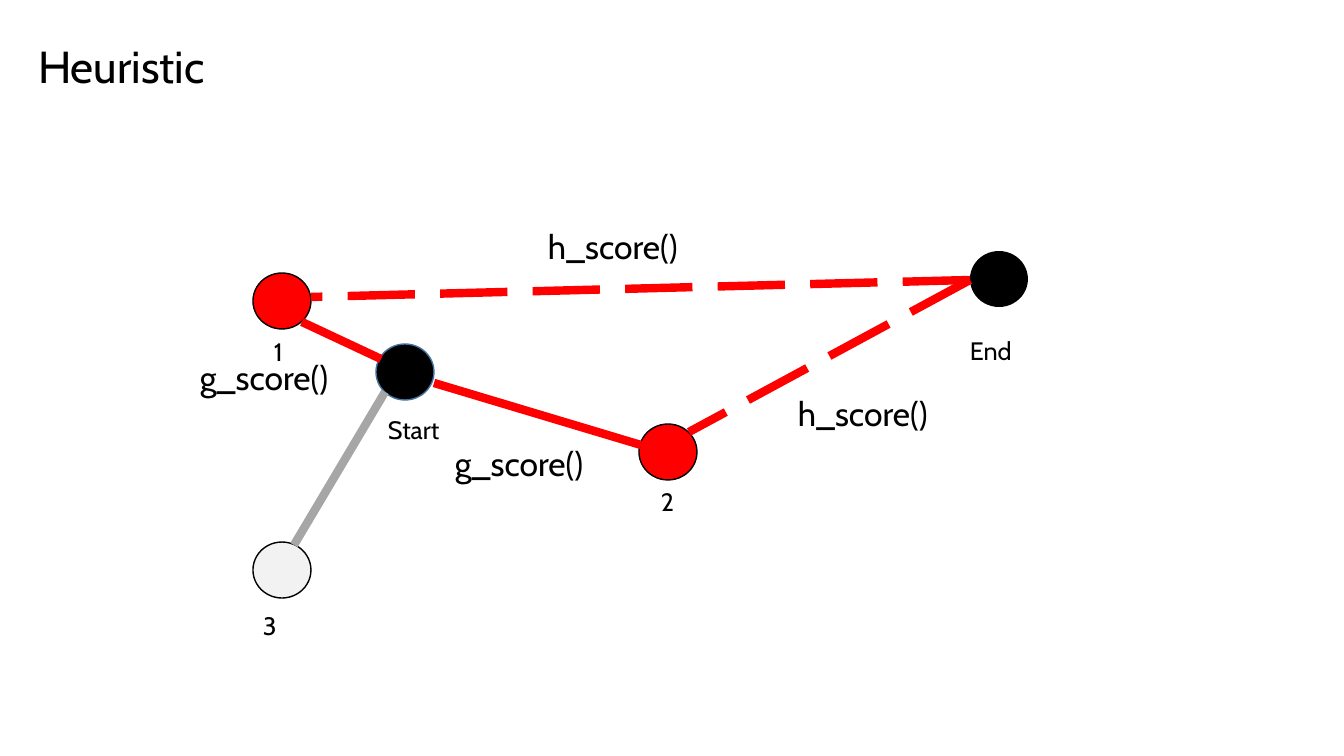
from pptx import Presentation
from pptx.dml.color import RGBColor
from pptx.enum.dml import MSO_LINE
from pptx.enum.shapes import MSO_CONNECTOR, MSO_SHAPE
from pptx.enum.text import MSO_ANCHOR, MSO_AUTO_SIZE, PP_ALIGN
from pptx.oxml.ns import qn
from pptx.util import Pt
from lxml.etree import SubElement

EMU_PER_PX = 914400 / 100.8
NODE_SIZE = (58, 56)
SCORE_SIZE = (161, 50)
BLACK, RED, GREY, PALE, BLUE = "000000", "FF0000", "A6A6A6", "F2F2F2", "43739E"

NODES = [
    (376, 344, BLACK, BLUE),
    (970, 251, BLACK, None),
    (639, 424, RED, BLACK),
    (253, 542, PALE, BLACK),
    (253, 273, RED, BLACK),
]
EDGES = [
    (641, 445, 434, 383, RED, False),
    (294, 545, 385, 392, GREY, False),
    (970, 280, 689, 432, RED, True),
    (381, 359, 302, 322, RED, False),
    (970, 280, 311, 297, RED, True),
]
NODE_LABELS = [
    ("Start", 378, 409, 78),
    ("End", 960, 330, 65),
    ("1", 264, 331, 34),
    ("2", 651, 481, 34),
    ("3", 253, 605, 34),
]
SCORES = [
    ("h_score()", 788, 388),
    ("h_score()", 538, 221),
    ("g_score()", 445, 438),
    ("g_score()", 190, 352),
]


def px(*lengths):
    """Turn pixel lengths into EMU."""
    return [round(n * EMU_PER_PX) for n in lengths]


def color(hex_string):
    """Give the colour for a hex string."""
    return RGBColor.from_string(hex_string)


def set_attrs(obj, values):
    """Set each attribute named in a dict."""
    for name, value in values.items():
        setattr(obj, name, value)


def write_text(sp, text, size):
    """Write one left-aligned line of black text in a shape."""
    tf = sp.text_frame
    set_attrs(tf, {"word_wrap": True, "auto_size": MSO_AUTO_SIZE.NONE,
                   "vertical_anchor": MSO_ANCHOR.TOP})
    p = tf.paragraphs[0]
    p.alignment = PP_ALIGN.LEFT
    r = p.add_run()
    r.text = text
    set_attrs(r.font, {"name": "Cabin", "size": Pt(size)})
    r.font.color.rgb = color(BLACK)


def set_title(s, text, left, top, width, height):
    """Place and fill the title placeholder."""
    sp = s.shapes.title
    set_attrs(sp, dict(zip(("left", "top", "width", "height"),
                           px(left, top, width, height))))
    write_text(sp, text, 32)


def add_label(s, text, left, top, width, height, size):
    """Add a text box."""
    write_text(s.shapes.add_textbox(*px(left, top, width, height)), text, size)


def add_node(s, left, top, fill, line):
    """Add a graph node, outlined if a line colour is given."""
    sp = s.shapes.add_shape(MSO_SHAPE.OVAL, *px(left, top, *NODE_SIZE))
    sp.shadow.inherit = False
    sp.fill.solid()
    sp.fill.fore_color.rgb = color(fill)
    if line:
        sp.line.color.rgb = color(line)
        sp.line.width = Pt(1)
    else:
        sp.line.fill.background()


def add_edge(s, x1, y1, x2, y2, line, dashed):
    """Add a thick straight edge."""
    cxn = s.shapes.add_connector(MSO_CONNECTOR.STRAIGHT, *px(x1, y1, x2, y2))
    cxn.line.color.rgb = color(line)
    cxn.line.width = Pt(6)
    if dashed:
        cxn.line.dash_style = MSO_LINE.LONG_DASH
    SubElement(cxn._element.spPr, qn("a:effectLst"))


def main():
    """Build the heuristic graph slide."""
    prs = Presentation()
    prs.slide_width, prs.slide_height = px(1344, 756)
    s = prs.slides.add_slide(prs.slide_layouts[5])
    set_title(s, "Heuristic", 28, 34, 204, 65)
    for node in NODES:
        add_node(s, *node)
    for edge in EDGES:
        add_edge(s, *edge)
    for text, left, top, width in NODE_LABELS:
        add_label(s, text, left, top, width, 40, 18)
    for text, left, top in SCORES:
        add_label(s, text, left, top, *SCORE_SIZE, 24)
    prs.save("out.pptx")


if __name__ == "__main__":
    main()
